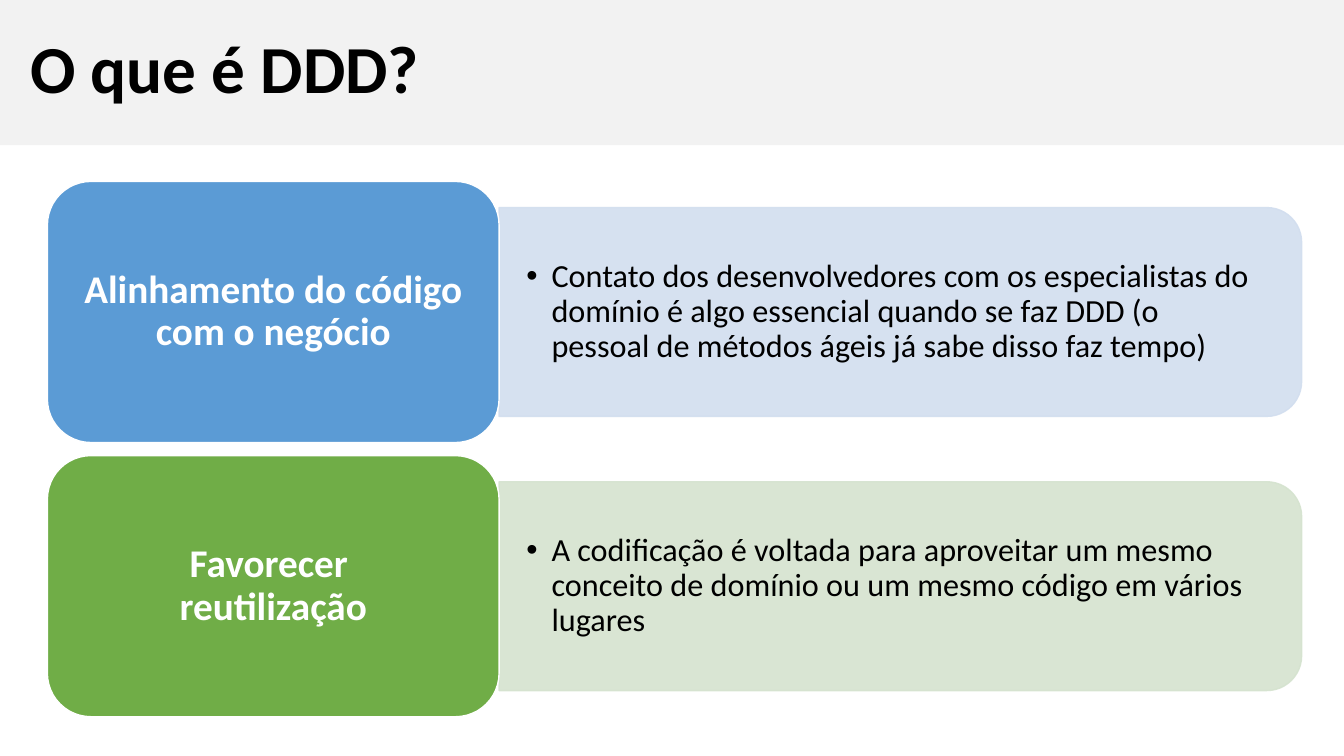
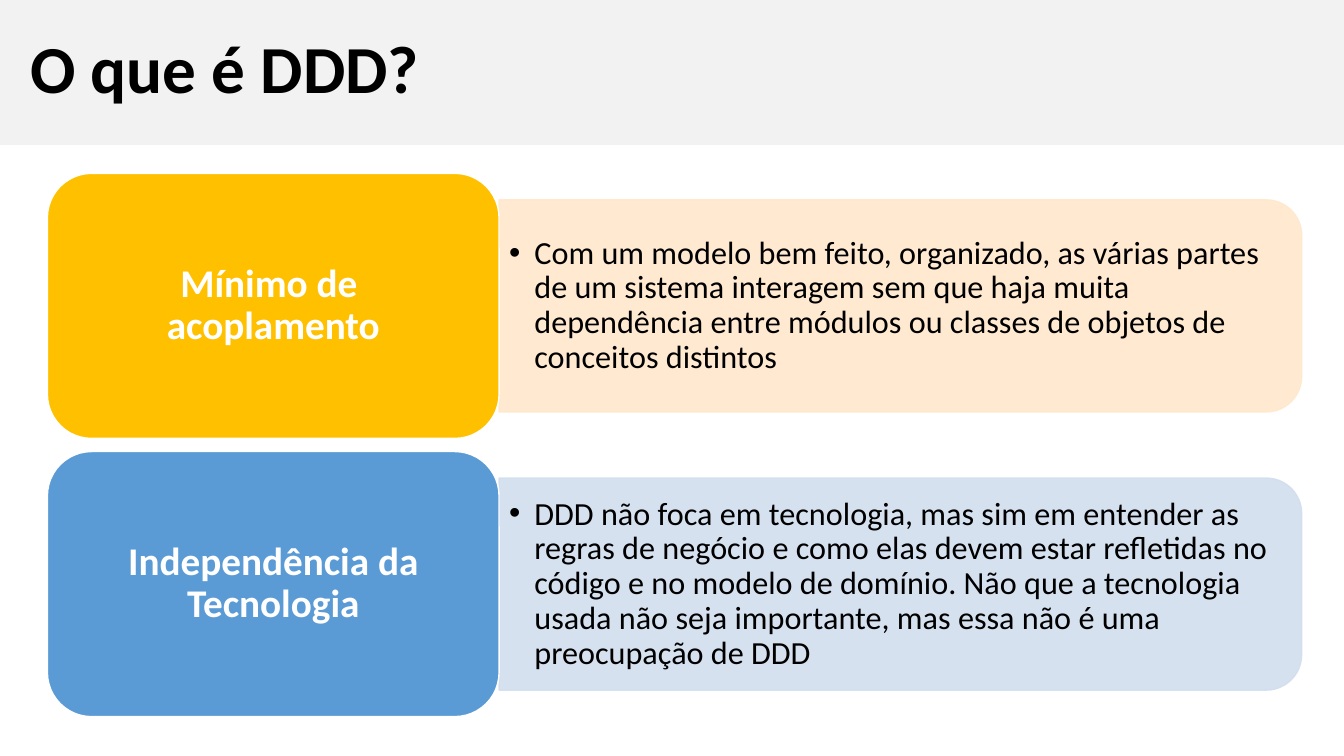
from dataclasses import dataclass

import lxml.etree
import pptx
import pptx.dml.color
import pptx.enum.shapes
import pptx.enum.text
import pptx.oxml.ns
import pptx.util

Inches = pptx.util.Inches
Pt = pptx.util.Pt
Shapes = pptx.enum.shapes.MSO_SHAPE
Align = pptx.enum.text.PP_ALIGN
qn = pptx.oxml.ns.qn

FONT = "Calibri"
COLORS = {
    "band": "F2F2F2",
    "white": "FFFFFF",
    "black": "000000",
    "blue": "5B9BD5",
    "green": "70AD47",
    "gold": "FFC000",
    "light blue": "D2DEEF",
    "light green": "D5E3CF",
    "light orange": "FFE8CC",
}

SLIDE_WIDTH, SLIDE_HEIGHT = 13.33, 7.5
BAND_HEIGHT = 1.44
LABEL_LEFT, LABEL_WIDTH = 0.47, 4.48
PANEL_LEFT, PANEL_WIDTH = LABEL_LEFT + LABEL_WIDTH, 7.96
LIST_WIDTH = 7.86
ROWS_BOTTOM, ROW_GAP = 7.11, 0.13
PANEL_SHARE = 0.8  # panel height as a share of its label's height


@dataclass(frozen=True)
class Topic:
    label: str
    detail: str
    color: str
    panel_color: str


@dataclass(frozen=True)
class TopicPage:
    title: str
    rows_top: float
    list_insets: tuple[float, float]
    topics: tuple[Topic, ...]


PAGES = (
    TopicPage("O que é DDD?", 1.8, (0.27, 0.14), (
        Topic(
            "Alinhamento do código com o negócio",
            "Contato dos desenvolvedores com os especialistas do domínio é algo "
            "essencial quando se faz DDD (o pessoal de métodos ágeis já sabe disso "
            "faz tempo)",
            "blue", "light blue"),
        Topic(
            "Favorecer \nreutilização",
            "A codificação é voltada para aproveitar um mesmo conceito de domínio "
            "ou um mesmo código em vários lugares",
            "green", "light green"),
    )),
    TopicPage("O que é DDD?", 1.72, (0.1, 0.05), (
        Topic(
            "Mínimo de \nacoplamento",
            "Com um modelo bem feito, organizado, as várias partes de um sistema "
            "interagem sem que haja muita dependência entre módulos ou classes de "
            "objetos de conceitos distintos",
            "gold", "light orange"),
        Topic(
            "Independência da Tecnologia",
            "DDD não foca em tecnologia, mas sim em entender as regras de negócio e "
            "como elas devem estar refletidas no código e no modelo de domínio. Não "
            "que a tecnologia usada não seja importante, mas essa não é uma "
            "preocupação de DDD",
            "blue", "light blue"),
    )),
)


def rgb(name: str) -> pptx.dml.color.RGBColor:
    return pptx.dml.color.RGBColor.from_string(COLORS[name])


def place(box, left: float, top: float, width: float, height: float) -> None:
    box.left, box.top = Inches(left), Inches(top)
    box.width, box.height = Inches(width), Inches(height)


def write_text(box, text: str, *, size: float, color: str = "black",
               bold: bool = False, align=Align.LEFT, bullet: bool = False,
               insets: tuple[float, float] = (0.1, 0.05)) -> None:
    """Fill a box with one vertically centred paragraph; a newline is a line break."""
    frame = box.text_frame
    frame.word_wrap = True
    frame.auto_size = pptx.enum.text.MSO_AUTO_SIZE.NONE
    frame.vertical_anchor = pptx.enum.text.MSO_ANCHOR.MIDDLE
    frame.margin_left = frame.margin_right = Inches(insets[0])
    frame.margin_top = frame.margin_bottom = Inches(insets[1])
    para = frame.paragraphs[0]
    para.text = text
    para.alignment = align
    para.line_spacing = 0.9
    para.space_before = Pt(0)
    if bullet:
        properties = para._p.get_or_add_pPr()
        properties.set("marL", str(Inches(0.25)))
        properties.set("indent", str(-Inches(0.25)))
        lxml.etree.SubElement(properties, qn("a:buChar")).set("char", "•")
    for span in para.runs:
        span.font.name = FONT
        span.font.size = Pt(size)
        span.font.bold = bold
        span.font.color.rgb = rgb(color)


def add_block(page, kind, left: float, top: float, width: float, height: float,
              *, fill: str, line: str | None = None):
    block = page.shapes.add_shape(
        kind, Inches(left), Inches(top), Inches(width), Inches(height))
    block.shadow.inherit = False
    block.fill.solid()
    block.fill.fore_color.rgb = rgb(fill)
    if line is None:
        block.line.fill.background()
    else:
        block.line.color.rgb = rgb(line)
        block.line.width = Pt(1)
    return block


def add_panel(page, top: float, height: float, color: str) -> None:
    """Draw a translucent bar whose right corners are rounded by a quarter turn."""
    left = PANEL_LEFT + (PANEL_WIDTH - height) / 2
    unturned_top = top - (PANEL_WIDTH - height) / 2
    panel = add_block(page, Shapes.ROUND_2_SAME_RECTANGLE, left, unturned_top,
                      height, PANEL_WIDTH, fill=color, line=color)
    panel.rotation = 90
    for tint in panel._element.spPr.iter(qn("a:srgbClr")):
        lxml.etree.SubElement(tint, qn("a:alpha")).set("val", "90000")


def add_topic(page, list_box, topic: Topic, top: float, height: float,
              list_insets: tuple[float, float]) -> None:
    panel_height = height * PANEL_SHARE
    panel_top = top + (height - panel_height) / 2
    add_panel(page, panel_top, panel_height, topic.panel_color)

    place(list_box, PANEL_LEFT, panel_top, LIST_WIDTH, panel_height)
    write_text(list_box, topic.detail, size=23, bullet=True, insets=list_insets)
    page.shapes._spTree.append(list_box._element)  # bring in front of the panel

    label = add_block(page, Shapes.ROUNDED_RECTANGLE, LABEL_LEFT, top,
                      LABEL_WIDTH, height, fill=topic.color, line="white")
    write_text(label, topic.label, size=28, color="white", bold=True,
               align=Align.CENTER, insets=(0.12, 0.06))


def add_topic_page(deck, layout, content: TopicPage):
    page = deck.slides.add_slide(layout)
    write_text(page.shapes.title, content.title, size=48, bold=True)
    count = len(content.topics)
    free_height = ROWS_BOTTOM - content.rows_top - ROW_GAP * (count - 1)
    height = free_height / count
    for index, topic in enumerate(content.topics):
        top = content.rows_top + index * (height + ROW_GAP)
        add_topic(page, page.placeholders[index + 1], topic, top, height,
                  content.list_insets)
    return page


def add_title_band(page, layout) -> None:
    """Put the band behind everything on the layout, so that all slides share it."""
    band = add_block(page, Shapes.RECTANGLE, 0, 0, SLIDE_WIDTH, BAND_HEIGHT,
                     fill="band")
    layout.shapes._spTree.insert(2, band._element)


def main() -> None:
    deck = pptx.Presentation()
    deck.slide_width, deck.slide_height = Inches(SLIDE_WIDTH), Inches(SLIDE_HEIGHT)
    layout = deck.slide_layouts.get_by_name("Two Content")
    place(layout.placeholders[0], 0.2, 0.29, 13.13, 0.84)
    pages = [add_topic_page(deck, layout, content) for content in PAGES]
    add_title_band(pages[0], layout)
    deck.save("out.pptx")


if __name__ == "__main__":
    main()
